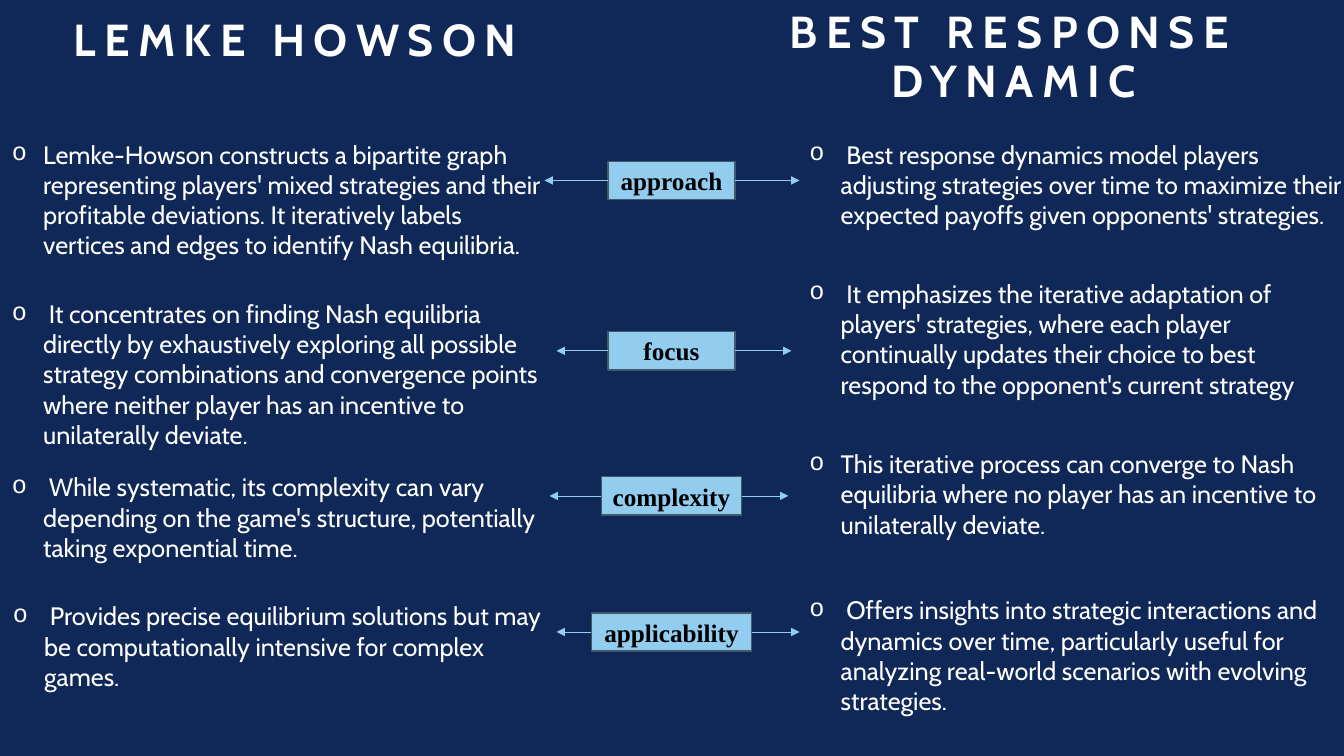
from dataclasses import dataclass

from lxml import etree
from pptx import Presentation
from pptx.dml.color import RGBColor
from pptx.enum import shapes, text
from pptx.oxml import ns
from pptx.util import Inches, Pt


@dataclass(frozen=True)
class Theme:
    navy: RGBColor = RGBColor(0x10, 0x28, 0x57)
    sky: RGBColor = RGBColor(0x92, 0xCD, 0xF0)
    edge: RGBColor = RGBColor(0x40, 0x5A, 0x69)
    white: RGBColor = RGBColor(0xFF, 0xFF, 0xFF)
    black: RGBColor = RGBColor(0, 0, 0)
    sans: str = "Cabin"
    serif: str = "Times New Roman"
    bullet_face: str = "Courier New"
    heading: int = 32
    body: int = 18
    tracking: int = 600


THEME = Theme()
POINT_WIDTH = 5.49
LABEL_HEIGHT = 0.38
CENTRE = 6.66

LEFT_POINTS = [
    (0.02, 1.33, 1.31, "Lemke-Howson constructs a bipartite graph representing players' mixed strategies and their profitable deviations. It iteratively labels vertices and edges to identify Nash equilibria."),
    (0.02, 2.91, 1.62, " It concentrates on finding Nash equilibria directly by exhaustively exploring all possible strategy combinations and convergence points where neither player has an incentive to unilaterally deviate."),
    (0.02, 4.63, 1.01, " While systematic, its complexity can vary depending on the game's structure, potentially taking exponential time."),
    (0.03, 5.91, 0.71, " Provides precise equilibrium solutions but may be computationally intensive for complex games."),
]
RIGHT_POINTS = [
    (7.93, 1.33, 1.01, " Best response dynamics model players adjusting strategies over time to maximize their expected payoffs given opponents' strategies."),
    (7.93, 2.71, 1.31, " It emphasizes the iterative adaptation of players' strategies, where each player continually updates their choice to best respond to the opponent's current strategy"),
    (7.93, 4.4, 1.01, "This iterative process can converge to Nash equilibria where no player has an incentive to unilaterally deviate."),
    (7.93, 5.85, 1.31, " Offers insights into strategic interactions and dynamics over time, particularly useful for analyzing real-world scenarios with evolving strategies."),
]
CRITERIA = [
    ("approach", 1.6, 1.26, 5.4, 7.93),
    ("focus", 3.29, 1.26, 5.52, 7.85),
    ("complexity", 4.73, 1.39, 5.45, 7.82),
    ("applicability", 6.08, 1.59, 5.52, 7.93),
]


def add_child(parent, tag, **attributes):
    return etree.SubElement(parent, ns.qn(tag), attributes)


def style_font(font, face, size, color, bold=False):
    font.name = face
    font.size = Pt(size)
    font.color.rgb = color
    font.bold = bold


def format_heading(box, wording):
    frame = box.text_frame
    frame.word_wrap = True
    frame.auto_size = text.MSO_AUTO_SIZE.NONE
    frame.vertical_anchor = text.MSO_ANCHOR.BOTTOM
    para = frame.paragraphs[0]
    para.alignment = text.PP_ALIGN.CENTER
    para.line_spacing = 0.9
    span = para.add_run()
    span.text = wording
    style_font(para.font, THEME.sans, THEME.heading, THEME.white, True)
    span._r.get_or_add_rPr().set("spc", str(THEME.tracking))


def add_title(page, wording):
    title = page.shapes.title
    title.left, title.top = Inches(0), Inches(0.15)
    title.width, title.height = Inches(6.04), Inches(0.56)
    format_heading(title, wording)


def add_heading(page, wording):
    box = page.shapes.add_textbox(Inches(6.67), Inches(-0.12), Inches(6.77), Inches(1.23))
    format_heading(box, wording)


def add_point(page, left, top, height, wording):
    box = page.shapes.add_textbox(Inches(left), Inches(top), Inches(POINT_WIDTH), Inches(height))
    frame = box.text_frame
    frame.word_wrap = True
    frame.auto_size = text.MSO_AUTO_SIZE.SHAPE_TO_FIT_TEXT
    para = frame.paragraphs[0]
    para.text = wording
    props = para._p.get_or_add_pPr()
    props.set("marL", str(Inches(0.31)))
    props.set("indent", str(Inches(-0.31)))
    add_child(props, "a:buFont", typeface=THEME.bullet_face)
    add_child(props, "a:buChar", char="o")
    style_font(para.font, THEME.sans, THEME.body, THEME.white)


def add_label(page, wording, left, top, width):
    box = page.shapes.add_shape(
        shapes.MSO_SHAPE.RECTANGLE, Inches(left), Inches(top), Inches(width), Inches(LABEL_HEIGHT)
    )
    box.shadow.inherit = False
    box.fill.solid()
    box.fill.fore_color.rgb = THEME.sky
    box.line.color.rgb = THEME.edge
    box.line.width = Pt(1)
    frame = box.text_frame
    frame.word_wrap = True
    frame.vertical_anchor = text.MSO_ANCHOR.MIDDLE
    para = frame.paragraphs[0]
    para.text = wording
    para.alignment = text.PP_ALIGN.CENTER
    style_font(para.font, THEME.serif, THEME.body, THEME.black, True)


def add_arrow(page, start, end, height):
    arrow = page.shapes.add_connector(
        shapes.MSO_CONNECTOR.STRAIGHT, Inches(start), Inches(height), Inches(end), Inches(height)
    )
    arrow.line.color.rgb = THEME.sky
    arrow.line.width = Pt(0.5)
    add_child(arrow.line._get_or_add_ln(), "a:tailEnd", type="triangle")
    add_child(arrow._element.spPr, "a:effectLst")


def add_criterion(page, wording, top, width, left_tip, right_tip):
    left = CENTRE - width / 2
    middle = top + LABEL_HEIGHT / 2
    add_label(page, wording, left, top, width)
    add_arrow(page, left, left_tip, middle)
    add_arrow(page, left + width, right_tip, middle)


def main():
    deck = Presentation()
    deck.slide_width, deck.slide_height = Inches(13.33), Inches(7.5)
    page = deck.slides.add_slide(deck.slide_layouts.get_by_name("Title Only"))
    page.background.fill.solid()
    page.background.fill.fore_color.rgb = THEME.navy
    add_title(page, "LEMKE HOWSON ")
    add_heading(page, "BEST RESPONSE DYNAMIC")
    for point in LEFT_POINTS + RIGHT_POINTS:
        add_point(page, *point)
    for criterion in CRITERIA:
        add_criterion(page, *criterion)
    deck.save("out.pptx")


if __name__ == "__main__":
    main()
